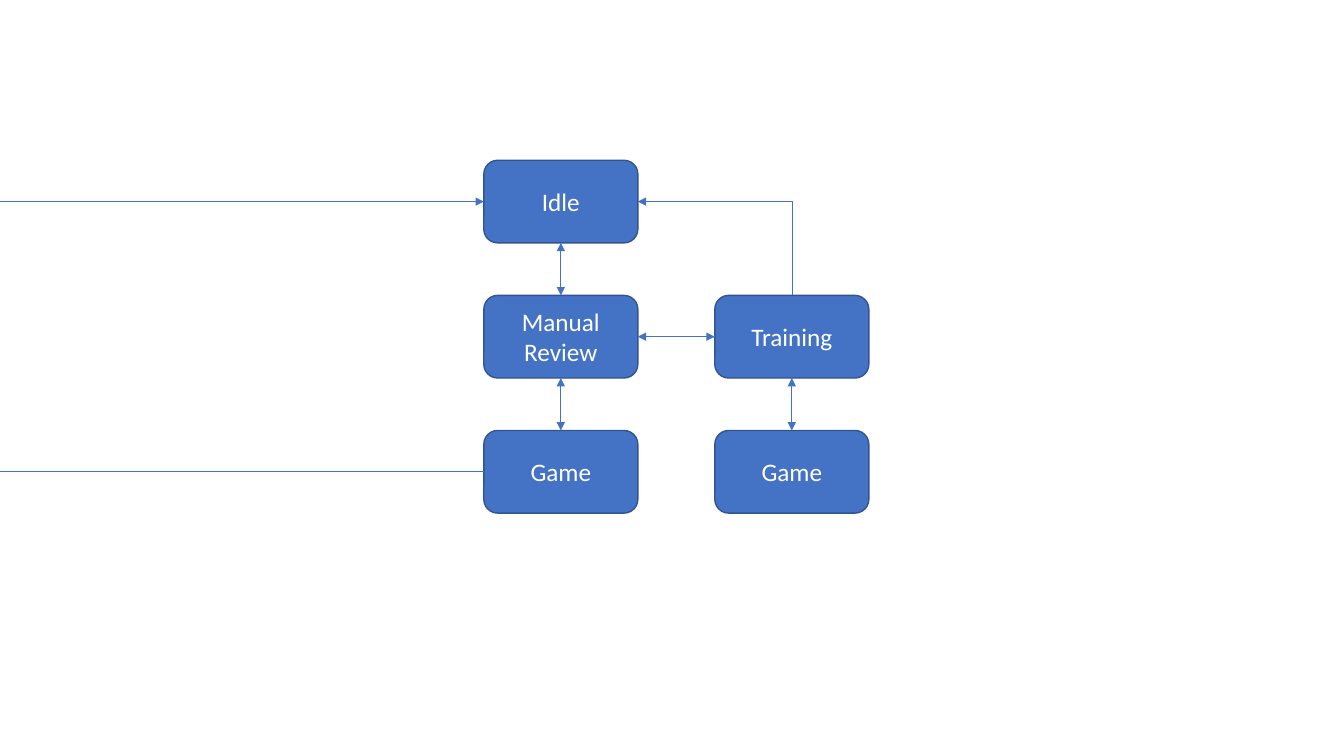
import pptx
import pptx.dml.color
import pptx.enum.shapes
import pptx.enum.text
import pptx.oxml.ns
import pptx.util
from lxml import etree

Pt = pptx.util.Pt
BLUE = pptx.dml.color.RGBColor(0x44, 0x72, 0xC4)
NAVY = pptx.dml.color.RGBColor(0x32, 0x54, 0x91)
WHITE = pptx.dml.color.RGBColor(0xFF, 0xFF, 0xFF)
LEFT, TOP = 345.6, 114.5
COLUMN_STEP, ROW_STEP = 165, 96.5
BOX_WIDTH, BOX_HEIGHT = 110, 59
TOP_SIDE, LEFT_SIDE, BOTTOM_SIDE, RIGHT_SIDE = range(4)


def add_state(page, label, column, row):
    """Add one rounded state box at a grid cell."""
    box = page.shapes.add_shape(
        pptx.enum.shapes.MSO_SHAPE.ROUNDED_RECTANGLE,
        Pt(LEFT + column * COLUMN_STEP), Pt(TOP + row * ROW_STEP),
        Pt(BOX_WIDTH), Pt(BOX_HEIGHT))
    box.shadow.inherit = False
    box.fill.solid()
    box.fill.fore_color.rgb = BLUE
    box.line.color.rgb = NAVY
    box.line.width = Pt(1)
    frame = box.text_frame
    frame.word_wrap = True
    frame.vertical_anchor = pptx.enum.text.MSO_ANCHOR.MIDDLE
    para = frame.paragraphs[0]
    para.alignment = pptx.enum.text.PP_ALIGN.CENTER
    span = para.add_run()
    span.text = label
    span.font.name = "Calibri"
    span.font.size = Pt(18)
    span.font.color.rgb = WHITE
    return box


def add_link(page, kind, arrows):
    """Add a thin blue connector with the named arrowheads."""
    link = page.shapes.add_connector(kind, 0, 0, 0, 0)
    link.line.color.rgb = BLUE
    link.line.width = Pt(0.5)
    outline = link.get_or_add_ln()
    for end in arrows:
        etree.SubElement(outline, pptx.oxml.ns.qn(f"a:{end}"), type="triangle")
    etree.SubElement(link._element.spPr, pptx.oxml.ns.qn("a:effectLst"))
    return link


def link_states(page, start, start_side, finish, finish_side):
    """Join two boxes with a straight double arrow."""
    link = add_link(page, pptx.enum.shapes.MSO_CONNECTOR.STRAIGHT,
                    ("headEnd", "tailEnd"))
    link.begin_connect(start, start_side)
    link.end_connect(finish, finish_side)


def link_corner(page, target, source):
    """Join a box's right side to another's top with one bend."""
    link = add_link(page, pptx.enum.shapes.MSO_CONNECTOR.ELBOW, ("headEnd",))
    link.begin_connect(target, RIGHT_SIDE)
    link.end_connect(source, TOP_SIDE)
    link._element.spPr.find(pptx.oxml.ns.qn("a:prstGeom")).set(
        "prst", "bentConnector2")


def link_edge(page, box, arrows):
    """Run a straight line from the slide's left edge to a box."""
    link = add_link(page, pptx.enum.shapes.MSO_CONNECTOR.STRAIGHT, arrows)
    link.begin_x = Pt(0)
    link.begin_y = box.top + box.height // 2
    link.end_connect(box, LEFT_SIDE)


def main():
    """Build the state diagram."""
    deck = pptx.Presentation()
    deck.slide_width, deck.slide_height = Pt(960), Pt(540)
    page = deck.slides.add_slide(deck.slide_layouts[6])
    idle = add_state(page, "Idle", 0, 0)
    review = add_state(page, "Manual Review", 0, 1)
    review_game = add_state(page, "Game", 0, 2)
    training = add_state(page, "Training", 1, 1)
    training_game = add_state(page, "Game", 1, 2)
    for upper, lower in ((idle, review), (review, review_game),
                         (training, training_game)):
        link_states(page, upper, BOTTOM_SIDE, lower, TOP_SIDE)
    link_states(page, review, RIGHT_SIDE, training, LEFT_SIDE)
    link_corner(page, idle, training)
    link_edge(page, idle, ("tailEnd",))
    link_edge(page, review_game, ())
    deck.save("out.pptx")


if __name__ == "__main__":
    main()
